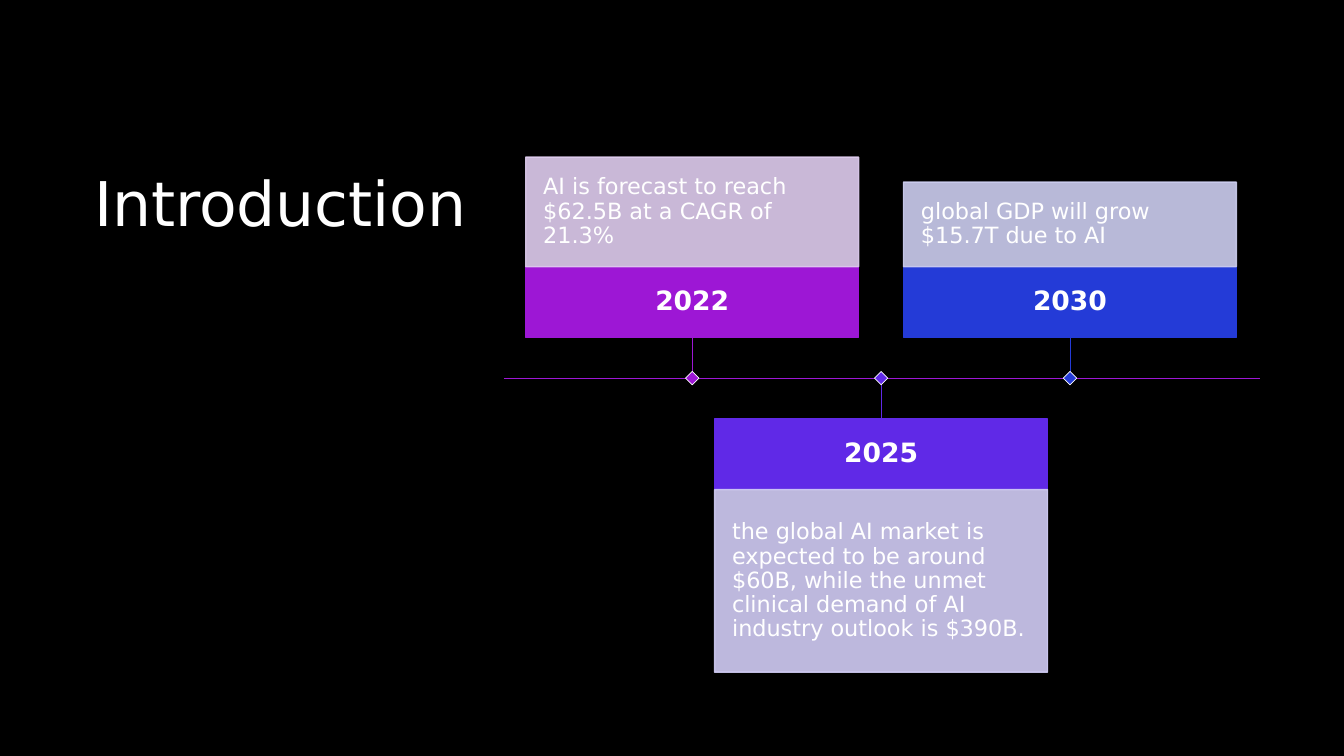
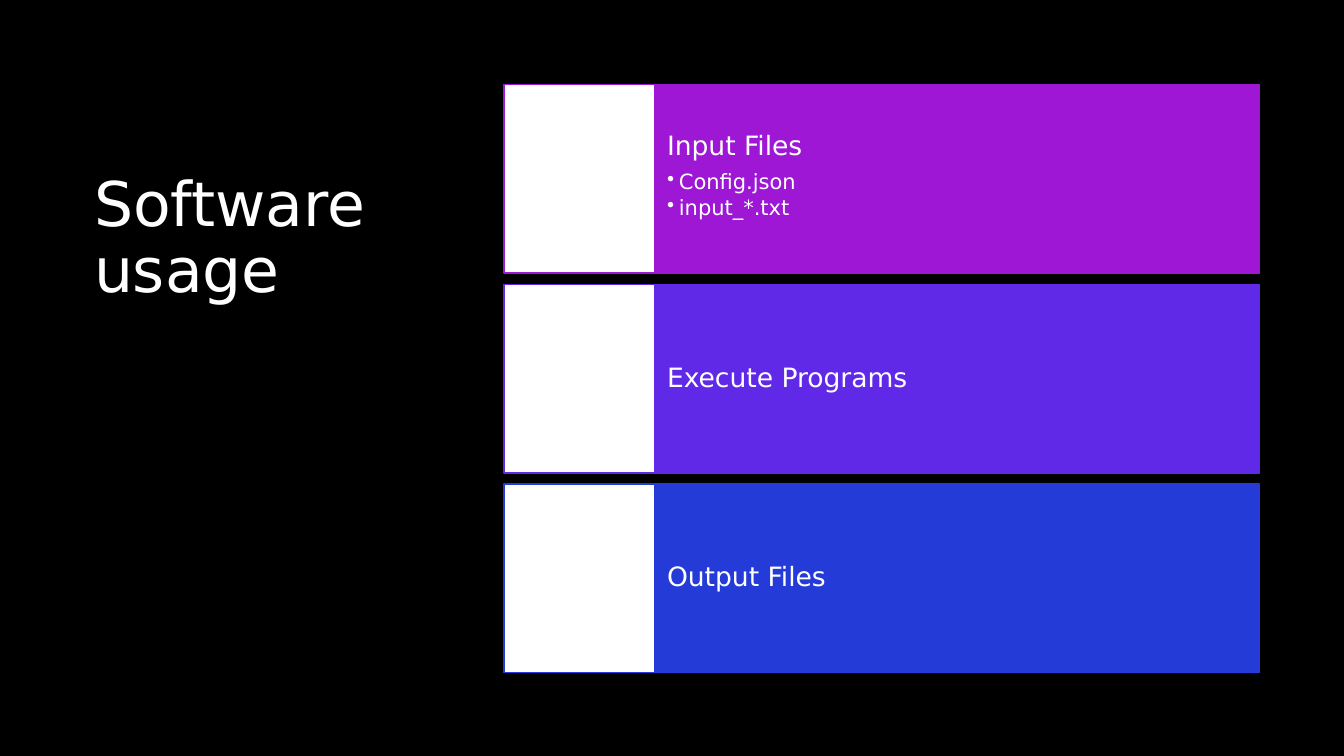
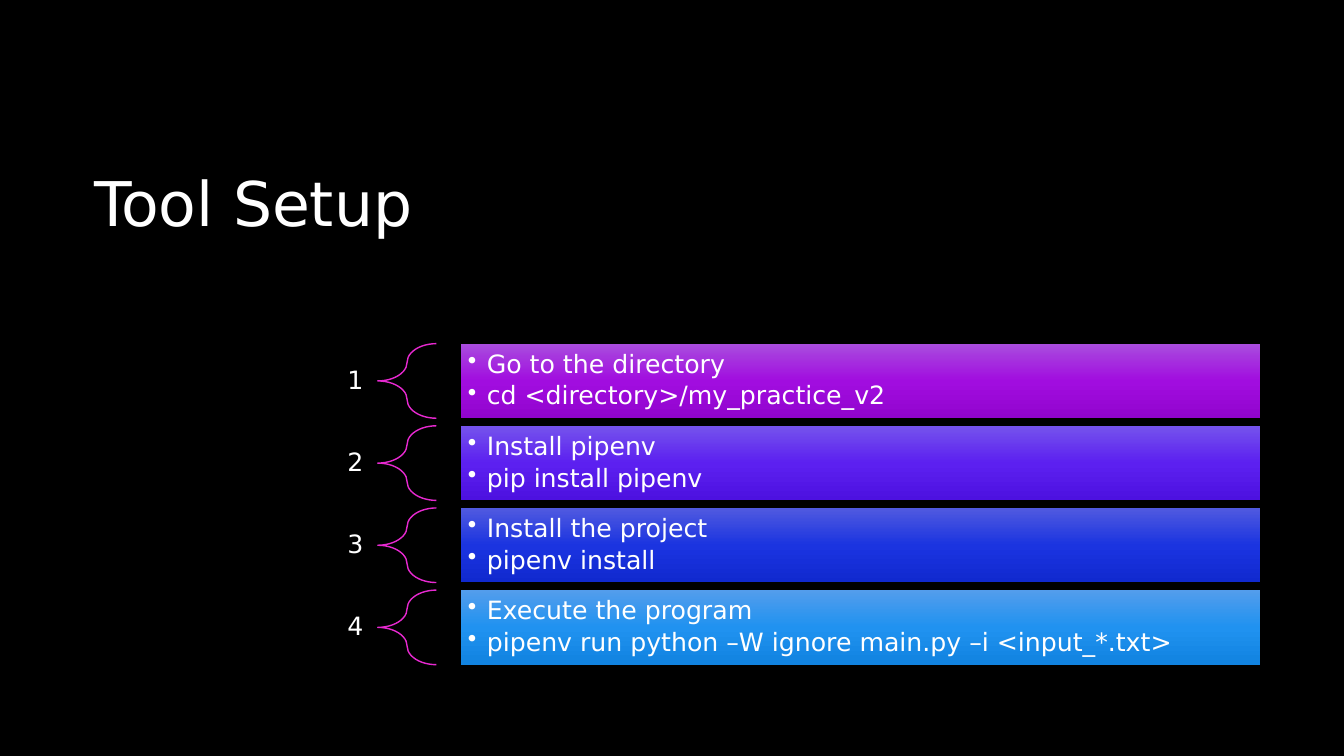
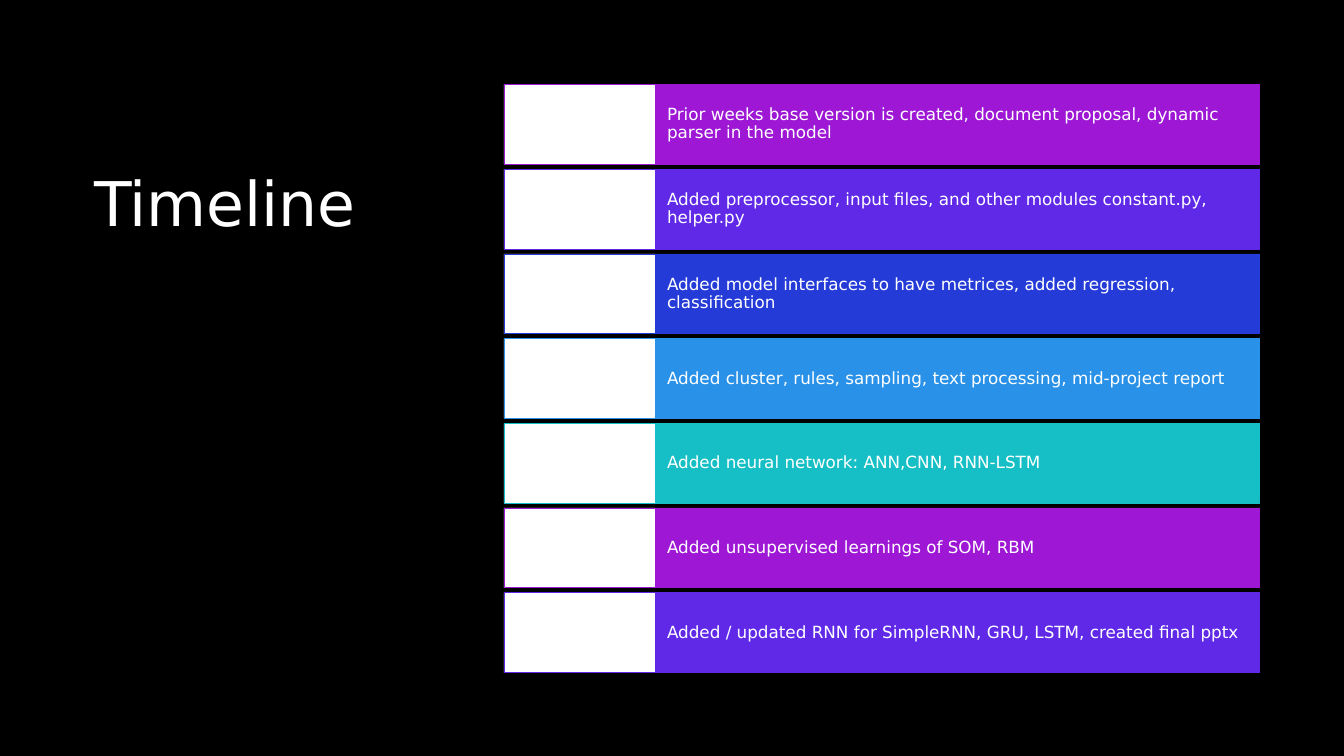
from copy import deepcopy

from pptx import Presentation
from pptx.dml.color import RGBColor
from pptx.enum.shapes import MSO_CONNECTOR, MSO_SHAPE
from pptx.enum.text import MSO_ANCHOR, PP_ALIGN
from pptx.oxml.ns import qn
from pptx.util import Cm, Pt
from lxml.etree import SubElement

# Shared style
FONT = "DejaVu Sans"
WHITE, BLACK, PINK = "FFFFFF", "000000", "E729D0"
PURPLE, VIOLET, BLUE, SKY, TEAL = "9D17D5", "6029E7", "243BD7", "2991E7", "15BFC5"
COLOURS = [PURPLE, VIOLET, BLUE, SKY, TEAL]
CONTENT_LEFT, CONTENT_WIDTH = 12.7, 19.05
colour_of = RGBColor.from_string


def add_block(slide, preset, place, fill, line=None, line_width=1):
    """Add a preset shape; place is left, top, width, height in cm."""
    shape = slide.shapes.add_shape(preset, *map(Cm, place))
    shape.shadow.inherit = False
    if fill:
        shape.fill.solid()
        shape.fill.fore_color.rgb = colour_of(fill)
    else:
        shape.fill.background()
    if line:
        shape.line.color.rgb = colour_of(line)
        shape.line.width = Pt(line_width)
    else:
        shape.line.fill.background()
    return shape


def write_text(shape, lines, margins, anchor=MSO_ANCHOR.MIDDLE,
               align=PP_ALIGN.LEFT, bold=False):
    """Write lines of (text, size, bullet indent in cm, points before)."""
    frame = shape.text_frame
    side, edge = map(Cm, margins)
    frame_format = {
        "word_wrap": True, "vertical_anchor": anchor,
        "margin_left": side, "margin_right": side,
        "margin_top": edge, "margin_bottom": edge,
    }
    for name, value in frame_format.items():
        setattr(frame, name, value)
    for index, (text, size, indent, before) in enumerate(lines):
        paragraph = frame.add_paragraph() if index else frame.paragraphs[0]
        if indent:
            properties = paragraph._p.get_or_add_pPr()
            properties.set("marL", str(Cm(indent)))
            properties.set("indent", str(-Cm(indent)))
            SubElement(properties, qn("a:buChar")).set("char", "•")
        paragraph.alignment = align
        paragraph.line_spacing = 0.9
        paragraph.space_before = Pt(before)
        run = paragraph.add_run()
        run.text = text
        for name, value in {"name": FONT, "size": Pt(size), "bold": bold}.items():
            setattr(run.font, name, value)
        run.font.color.rgb = colour_of(WHITE)


# Presentation, background and titles
presentation = Presentation()
presentation.slide_width, presentation.slide_height = Cm(33.87), Cm(19.05)
background = presentation.slide_master.background.fill
background.solid()
background.fore_color.rgb = colour_of(BLACK)

slides = []
for title, width, height in [
    ("Introduction", 10.58, 10.57),
    ("Software usage", 10.58, 10.57),
    ("Tool Setup", 25.4, 3.5),
    ("Timeline", 10.58, 10.57),
]:
    slide = presentation.slides.add_slide(presentation.slide_layouts[6])
    title_box = slide.shapes.add_textbox(Cm(2.12), Cm(4.23), Cm(width), Cm(height))
    write_text(title_box, [(title, 44, 0, 0)], (0.25, 0.13), MSO_ANCHOR.TOP)
    slides.append(slide)
introduction, software_usage, tool_setup, timeline = slides

# Introduction: forecasts above and below an axis
AXIS_TOP, STEM, YEAR_HEIGHT = 9.53, 1.03, 1.78
CARD_LEFT, CARD_STEP, CARD_WIDTH = 13.25, 4.76, 8.39
MARKER = 0.24
forecasts = [
    ("2022", "AI is forecast to reach $62.5B at a CAGR of 21.3%",
     2.76, "DFCCEF", True),
    ("2025", "the global AI market is expected to be around $60B, while the "
     "unmet clinical demand of AI industry outlook is $390B.",
     4.6, "D2CDF6", False),
    ("2030", "global GDP will grow $15.7T due to AI", 2.13, "CDCEF0", True),
]
centres = [CARD_LEFT + CARD_STEP * index + CARD_WIDTH / 2 for index in range(3)]
axis_lines = [(CONTENT_LEFT, AXIS_TOP, CONTENT_LEFT + CONTENT_WIDTH, AXIS_TOP, PURPLE, 1)]
for centre, colour, forecast in zip(centres, COLOURS, forecasts):
    stem_end = AXIS_TOP - STEM if forecast[-1] else AXIS_TOP + STEM
    axis_lines.append((centre, AXIS_TOP, centre, stem_end, colour, 0.5))
for *ends, colour, width in axis_lines:
    connector = introduction.shapes.add_connector(MSO_CONNECTOR.STRAIGHT, *map(Cm, ends))
    connector.line.color.rgb = colour_of(colour)
    connector.line.width = Pt(width)
    SubElement(connector._element.spPr, qn("a:effectLst"))

for centre, colour, forecast in zip(centres, COLOURS, forecasts):
    year, detail, detail_height, tint, above = forecast
    left = centre - CARD_WIDTH / 2
    if above:
        year_top = AXIS_TOP - STEM - YEAR_HEIGHT
        detail_top = year_top - detail_height
    else:
        year_top = AXIS_TOP + STEM
        detail_top = year_top + YEAR_HEIGHT
    year_block = add_block(introduction, MSO_SHAPE.RECTANGLE,
                           (left, year_top, CARD_WIDTH, YEAR_HEIGHT), colour, colour)
    write_text(year_block, [(year, 19, 0, 0)], (0.28, 0.28),
               align=PP_ALIGN.CENTER, bold=True)
    detail_block = add_block(introduction, MSO_SHAPE.RECTANGLE,
                             (left, detail_top, CARD_WIDTH, detail_height), tint, tint)
    for tint_element in detail_block._element.spPr.iter(qn("a:srgbClr")):
        SubElement(tint_element, qn("a:alpha")).set("val", "90000")
    write_text(detail_block, [(detail, 16, 0, 0)], (0.44, 0.44))
    marker = add_block(introduction, MSO_SHAPE.RECTANGLE,
                       (centre - MARKER / 2, AXIS_TOP - MARKER / 2, MARKER, MARKER),
                       colour, WHITE, 0.5)
    marker.rotation = 45

# Software usage and Timeline: stacked bars with a white tile at the left
STACK_TOP, STACK_HEIGHT, TILE_WIDTH = 2.13, 14.82, 3.81
usage_rows = [
    [("Input Files", 19, 0, 0), ("Config.json", 15, 0.3, 7), ("input_*.txt", 15, 0.3, 2.6)],
    [("Execute Programs", 19, 0, 0)],
    [("Output Files", 19, 0, 0)],
]
timeline_rows = [[(text, 12, 0, 0)] for text in (
    "Prior weeks base version is created, document proposal, dynamic parser in the model",
    "Added preprocessor, input files, and other modules constant.py, helper.py",
    "Added model interfaces to have metrices, added regression, classification",
    "Added cluster, rules, sampling, text processing, mid-project report",
    "Added neural network: ANN,CNN, RNN-LSTM",
    "Added unsupervised learnings of SOM, RBM",
    "Added / updated RNN for SimpleRNN, GRU, LSTM, created final pptx",
)]
for slide, rows, gap, edge, line_width in [
    (software_usage, usage_rows, 0.28, 1.22, 1),
    (timeline, timeline_rows, 0.12, 0.51, 0.5),
]:
    height = (STACK_HEIGHT - gap * (len(rows) - 1)) / len(rows)
    for index, lines in enumerate(rows):
        top = STACK_TOP + index * (height + gap)
        colour = COLOURS[index % len(COLOURS)]
        bar = add_block(slide, MSO_SHAPE.RECTANGLE,
                        (CONTENT_LEFT + TILE_WIDTH, top, CONTENT_WIDTH - TILE_WIDTH, height),
                        colour, colour, line_width)
        anchor = MSO_ANCHOR.TOP if len(lines) > 1 else MSO_ANCHOR.MIDDLE
        write_text(bar, lines, (0.3, edge), anchor)
        add_block(slide, MSO_SHAPE.RECTANGLE, (CONTENT_LEFT, top, TILE_WIDTH, height),
                  WHITE, colour, line_width)

# Tool Setup: numbered steps with braces and gradient bars
STEP_TOP, STEP_PITCH, STEP_HEIGHT = 8.66, 2.07, 1.88
steps = [
    ("Go to the directory", "cd <directory>/my_practice_v2",
     ("A94DDE", "A10DDF", "9204CE")),
    ("Install pipenv", "pip install pipenv", ("7553EC", "5C20F0", "4D11E0")),
    ("Install the project", "pipenv install", ("505AE0", "1B34E0", "1029CF")),
    ("Execute the program", "pipenv run python –W ignore main.py –i <input_*.txt>",
     ("539DEC", "2092F0", "1183E0")),
]
for index, (action, command, gradient) in enumerate(steps):
    top = STEP_TOP + index * STEP_PITCH
    number = tool_setup.shapes.add_textbox(Cm(2.13), Cm(top), Cm(7.39), Cm(STEP_HEIGHT))
    write_text(number, [(str(index + 1), 18, 0, 0)], (0.36, 0.13), align=PP_ALIGN.RIGHT)
    brace = add_block(tool_setup, MSO_SHAPE.LEFT_BRACE, (9.52, top, 1.48, STEP_HEIGHT),
                      None, PINK)
    brace.adjustments[0] = 0.35
    bar = add_block(tool_setup, MSO_SHAPE.RECTANGLE, (11.61, top, 20.14, STEP_HEIGHT), BLACK)
    bar.fill.gradient()
    bar.fill.gradient_angle = 270
    stop_list = next(bar._element.spPr.iter(qn("a:gsLst")))
    stop_list.append(deepcopy(stop_list[0]))
    for stop, position, colour in zip(bar.fill.gradient_stops, (0, 0.5, 1), gradient):
        stop.position = position
        stop.color.rgb = colour_of(colour)
    write_text(bar, [(action, 18, 0.48, 0), (command, 18, 0.48, 3.2)], (0.18, 0.18))

presentation.save("out.pptx")
